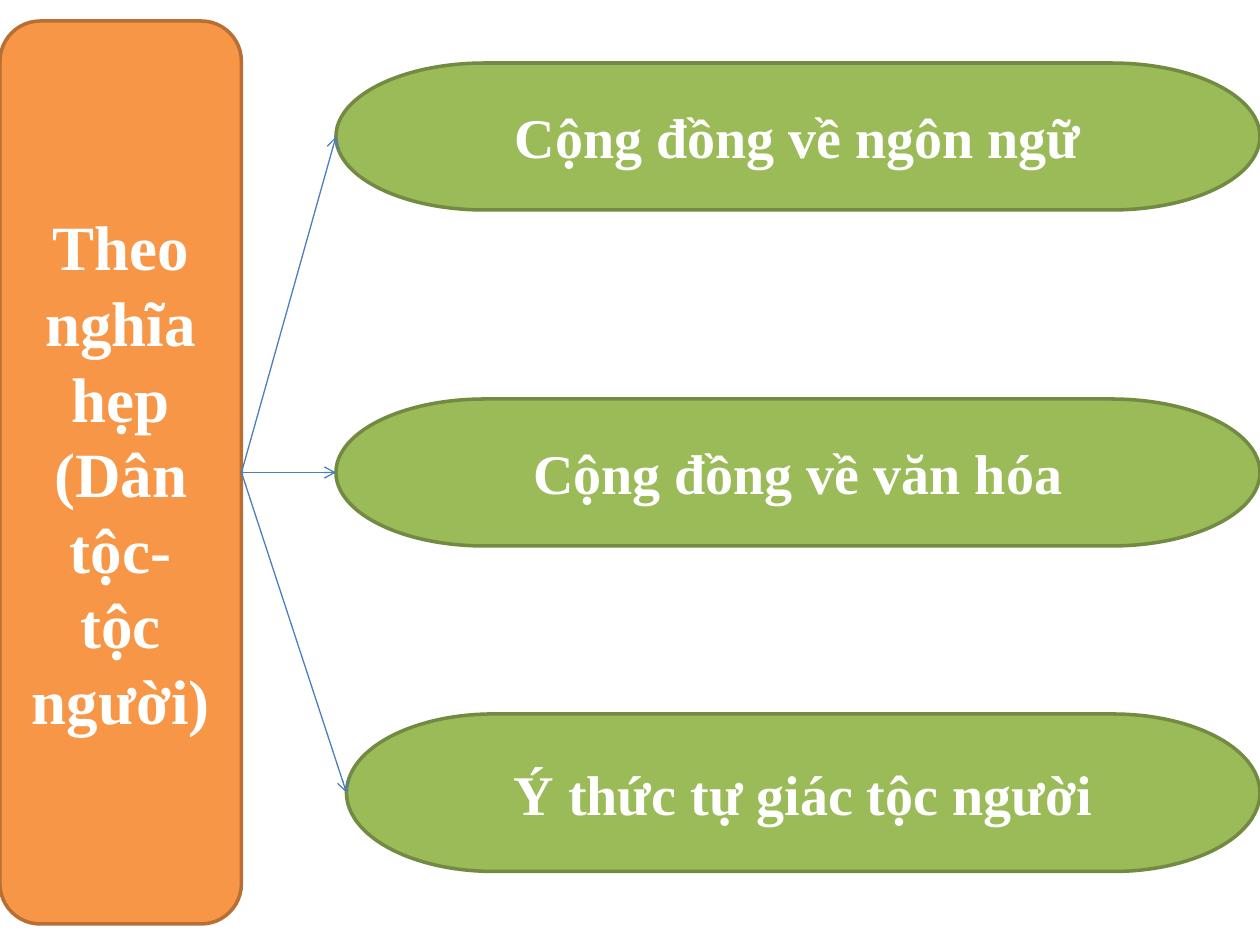
from lxml.etree import SubElement
from pptx import Presentation
from pptx.dml.color import RGBColor
from pptx.enum.shapes import MSO_CONNECTOR, MSO_SHAPE
from pptx.enum.text import MSO_ANCHOR, PP_ALIGN
from pptx.oxml.ns import qn
from pptx.util import Pt

PX = 9525
FONT = "Times New Roman"
WHITE = RGBColor(0xFF, 0xFF, 0xFF)
ORANGE = RGBColor(0xF7, 0x96, 0x46)
BROWN = RGBColor(0xB7, 0x6F, 0x34)
GREEN = RGBColor(0x9B, 0xBB, 0x59)
OLIVE = RGBColor(0x73, 0x8A, 0x42)
BLUE = RGBColor(0x4B, 0x7E, 0xBC)

TOPIC = "Theo nghĩa hẹp\n(Dân tộc- tộc người)"
TOPIC_BOX = (0, 16, 184, 688)
BRANCHES = [
    ("Cộng đồng về ngôn ngữ", (256, 48, 704, 112)),
    ("Cộng đồng về văn hóa", (256, 304, 704, 112)),
    ("Ý thức tự giác tộc người", (264, 544, 696, 120)),
]


def add_label(slide, kind, box, text, size, fill, line):
    """Add a filled shape with bold, centred white text."""
    s = slide.shapes.add_shape(kind, *(v * PX for v in box))
    s.shadow.inherit = False
    s.fill.solid()
    s.fill.fore_color.rgb = fill
    s.line.color.rgb = line
    s.line.width = Pt(2)
    tf = s.text_frame
    tf.word_wrap = True
    tf.vertical_anchor = MSO_ANCHOR.MIDDLE
    tf.text = text
    for p in tf.paragraphs:
        p.alignment = PP_ALIGN.CENTER
        for r in p.runs:
            r.font.name = FONT
            r.font.size = Pt(size)
            r.font.bold = True
            r.font.color.rgb = WHITE
    return s


def add_topic(slide, box):
    """Add the tall topic panel."""
    return add_label(slide, MSO_SHAPE.ROUNDED_RECTANGLE, box, TOPIC, 36,
                     ORANGE, BROWN)


def add_branch(slide, box, text):
    """Add one branch pill."""
    return add_label(slide, MSO_SHAPE.FLOWCHART_TERMINATOR, box, text, 32,
                     GREEN, OLIVE)


def add_arrow(slide, start, end):
    """Join the right side of one shape to the left side of another."""
    c = slide.shapes.add_connector(MSO_CONNECTOR.STRAIGHT, 0, 0, 0, 0)
    c.begin_connect(start, 3)
    c.end_connect(end, 1)
    c.line.color.rgb = BLUE
    c.line.width = Pt(0.75)
    SubElement(c.line._get_or_add_ln(), qn("a:tailEnd"), type="arrow")
    SubElement(c._element.spPr, qn("a:effectLst"))


def main():
    """Build the slide and save it."""
    prs = Presentation()
    prs.slide_width, prs.slide_height = 960 * PX, 720 * PX
    slide = prs.slides.add_slide(prs.slide_layouts[6])
    topic = add_topic(slide, TOPIC_BOX)
    pills = [add_branch(slide, box, text) for text, box in BRANCHES]
    for pill in pills:
        add_arrow(slide, topic, pill)
    prs.save("out.pptx")


if __name__ == "__main__":
    main()
